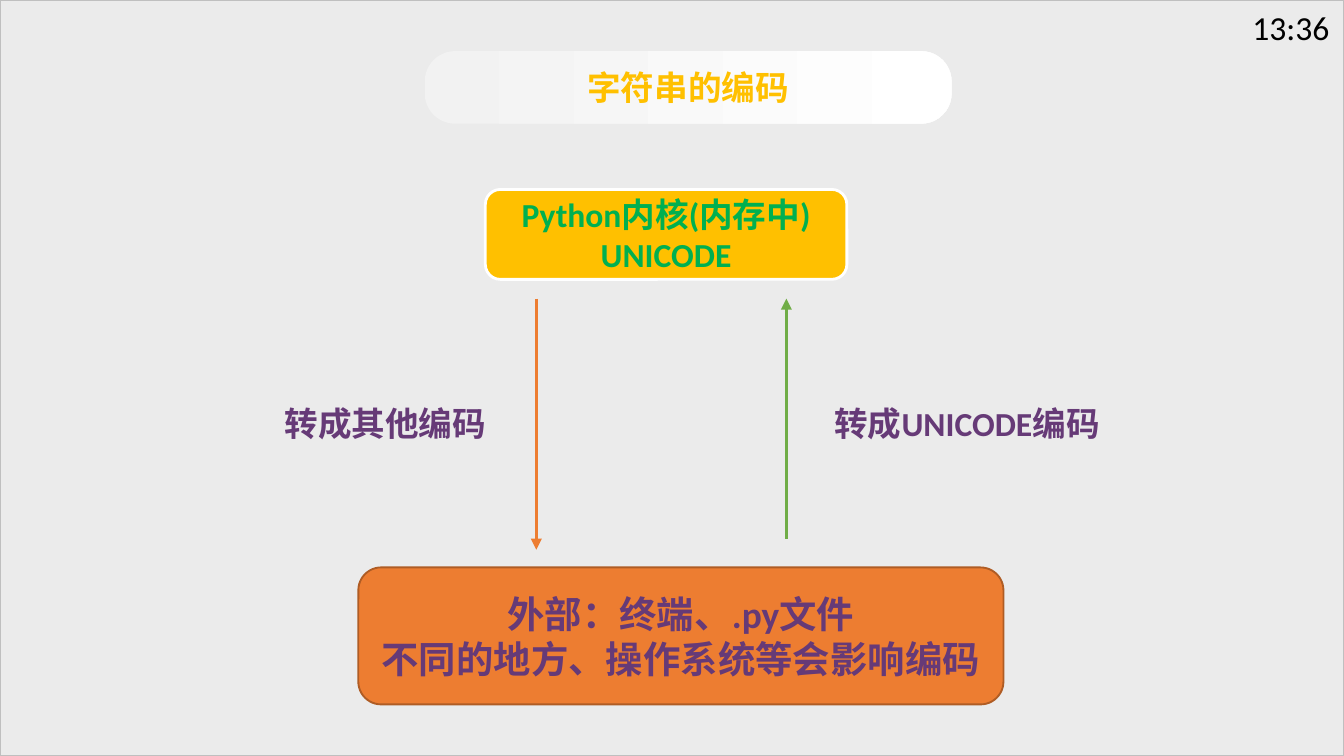
from lxml.etree import SubElement
from pptx import Presentation
from pptx.dml.color import RGBColor
from pptx.enum.shapes import MSO_CONNECTOR, MSO_SHAPE
from pptx.enum.text import MSO_ANCHOR, PP_ALIGN
from pptx.oxml.ns import qn
from pptx.util import Pt

BLACK = RGBColor(0x00, 0x00, 0x00)
WHITE = RGBColor(0xFF, 0xFF, 0xFF)
PALE = RGBColor(0xF2, 0xF2, 0xF2)
GREY = RGBColor(0xA6, 0xA6, 0xA6)
BORDER = RGBColor(0xBF, 0xBF, 0xBF)
GOLD = RGBColor(0xFF, 0xC0, 0x00)
GREEN = RGBColor(0x00, 0xB0, 0x50)
LEAF = RGBColor(0x70, 0xAD, 0x47)
ORANGE = RGBColor(0xED, 0x7D, 0x31)
BROWN = RGBColor(0xAF, 0x5C, 0x24)
PURPLE = RGBColor(0x66, 0x3A, 0x77)
CJK_FONT = "Noto Sans CJK SC"


def write(shape, lines, size, color, bold=True, align=PP_ALIGN.LEFT,
          anchor=MSO_ANCHOR.TOP, font="Calibri"):
    frame = shape.text_frame
    frame.word_wrap = True
    frame.vertical_anchor = anchor
    for index, line in enumerate(lines):
        para = frame.add_paragraph() if index else frame.paragraphs[0]
        para.alignment = align
        span = para.add_run()
        span.text = line
        span.font.size = Pt(size)
        span.font.bold = bold
        span.font.name = font
        span.font.color.rgb = color
        SubElement(span.font._element, qn("a:ea"), typeface=CJK_FONT)


def add_panel(kind, left, top, width, height, fill, line, line_width):
    panel = page.shapes.add_shape(kind, Pt(left), Pt(top), Pt(width), Pt(height))
    panel.shadow.inherit = False
    panel.fill.solid()
    panel.fill.fore_color.rgb = fill
    panel.line.color.rgb = line
    panel.line.width = Pt(line_width)
    return panel


deck = Presentation()
deck.slide_width, deck.slide_height = Pt(720), Pt(405)
page = deck.slides.add_slide(deck.slide_layouts[5])

# Translucent backdrop
backdrop = add_panel(MSO_SHAPE.RECTANGLE, 0, 0, 720, 405, GREY, BORDER, 1)
tint = backdrop.fill._xPr.find(qn("a:solidFill"))[0]
SubElement(tint, qn("a:alpha"), val="22000")

# Title on a gradient pill
pill = add_panel(MSO_SHAPE.ROUNDED_RECTANGLE, 227.5, 27.4, 282.3, 38.9, WHITE, WHITE, 1)
pill.adjustments[0] = 0.42
pill.line.fill.background()
pill.fill.gradient()
pill.fill.gradient_angle = 0
for stop, position, color in zip(pill.fill.gradient_stops, (0, 0.99), (PALE, WHITE)):
    stop.position = position
    stop.color.rgb = color

title = page.shapes.title
title.left, title.top, title.width, title.height = pill.left, pill.top, pill.width, pill.height
write(title, ["字符串的编码"], 18, GOLD, align=PP_ALIGN.CENTER,
      anchor=MSO_ANCHOR.MIDDLE, font=CJK_FONT)
pill.element.addnext(title.element)  # title stands in front of the pill

# Inside and outside of the interpreter
for left, top, width, height, fill, line, line_width, lines, size, color in (
    (260, 101.5, 193.7, 48.2, GOLD, WHITE, 1.5,
     ["Python内核(内存中)", "UNICODE"], 18, GREEN),
    (192, 304, 345.6, 73.4, ORANGE, BROWN, 1,
     ["外部：终端、.py文件", "不同的地方、操作系统等会影响编码"], 20, PURPLE),
):
    box = add_panel(MSO_SHAPE.ROUNDED_RECTANGLE, left, top, width, height,
                    fill, line, line_width)
    write(box, lines, size, color, align=PP_ALIGN.CENTER, anchor=MSO_ANCHOR.MIDDLE)

# Conversion arrows
for x, start, end, color in ((421.3, 288.7, 160, LEAF), (287.3, 160, 294.5, ORANGE)):
    arrow = page.shapes.add_connector(MSO_CONNECTOR.STRAIGHT, Pt(x), Pt(start), Pt(x), Pt(end))
    arrow.line.color.rgb = color
    arrow.line.width = Pt(1.5)
    SubElement(arrow.line._get_or_add_ln(), qn("a:tailEnd"), type="triangle")
    SubElement(arrow.element.spPr, qn("a:effectLst"))

# Arrow labels and clock
for left, top, width, text, color, bold in (
    (439.9, 212.4, 157, "转成UNICODE编码", PURPLE, True),
    (145.4, 212.4, 124, "转成其他编码", PURPLE, True),
    (663.8, 0, 56.2, "13:36", BLACK, False),
):
    label = page.shapes.add_textbox(Pt(left), Pt(top), Pt(width), Pt(29))
    write(label, [text], 18, color, bold)

deck.save("out.pptx")
